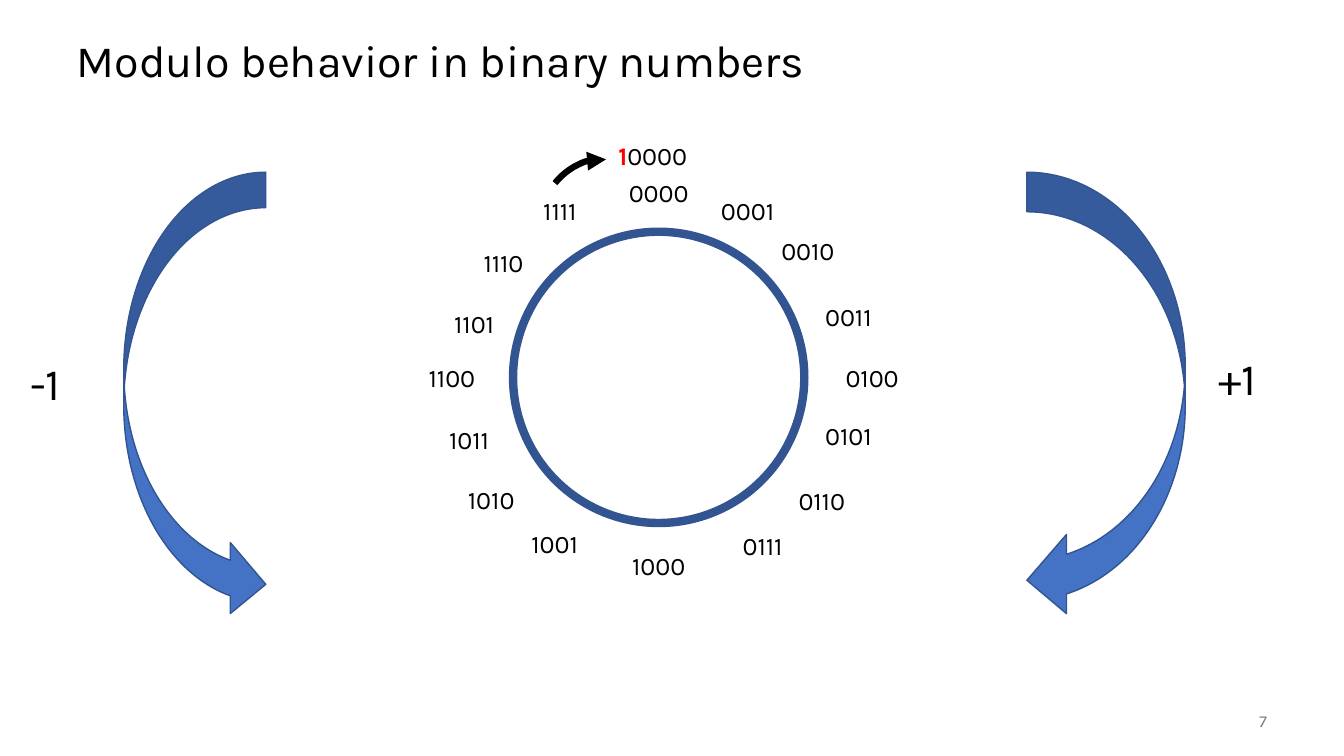
from lxml import etree
from pptx import Presentation
from pptx.dml.color import RGBColor
from pptx.enum.shapes import MSO_SHAPE
from pptx.enum.text import MSO_ANCHOR, PP_ALIGN
from pptx.oxml.ns import qn
from pptx.util import Cm, Pt

OVAL, ARC, CURVED_ARROW = MSO_SHAPE.OVAL, MSO_SHAPE.ARC, MSO_SHAPE.CURVED_LEFT_ARROW
LEFT, CENTER, RIGHT = PP_ALIGN.LEFT, PP_ALIGN.CENTER, PP_ALIGN.RIGHT
TOP, MIDDLE = MSO_ANCHOR.TOP, MSO_ANCHOR.MIDDLE
FONT = "Karla"
BLACK, RED, GRAY = "000000", "FF0000", "808080"
BLUE, DARK_BLUE = "4472C4", "325491"
LABEL_W, LABEL_H = 2.06, 1.02
LABEL_CENTERS = [
    (0, -4.66), (2.24, -4.2), (3.76, -3.19), (4.78, -1.54),
    (5.38, 0), (4.78, 1.46), (4.11, 3.11), (2.62, 4.23),
    (0, 4.74), (-2.62, 4.2), (-4.22, 3.09), (-4.78, 1.56),
    (-5.21, 0), (-4.65, -1.36), (-3.91, -2.88), (-2.49, -4.2),
]


def color(value):
    return RGBColor.from_string(value)


def add_run(p, text, size, hex_color=BLACK, bold=False):
    r = p.add_run()
    r.text = text
    r.font.name = FONT
    r.font.size = Pt(size)
    r.font.bold = bold
    r.font.color.rgb = color(hex_color)


def add_text(shapes, box, size, runs, align=CENTER, anchor=TOP):
    tf = shapes.add_textbox(*map(Cm, box)).text_frame
    tf.word_wrap = True
    tf.vertical_anchor = anchor
    p = tf.paragraphs[0]
    p.alignment = align
    for text, hex_color, bold in runs:
        add_run(p, text, size, hex_color, bold)


def add_outline(shapes, kind, box, line, width, fill=None):
    sp = shapes.add_shape(kind, *map(Cm, box))
    sp.shadow.inherit = False
    if fill:
        sp.fill.solid()
        sp.fill.fore_color.rgb = color(fill)
    else:
        sp.fill.background()
    sp.line.color.rgb = color(line)
    sp.line.width = Pt(width)
    return sp


def add_title(s, x, y, w, h):
    title = s.shapes.title
    title.left, title.top, title.width, title.height = map(Cm, (x, y, w, h))
    tf = title.text_frame
    tf.word_wrap = True
    tf.vertical_anchor = MIDDLE
    p = tf.paragraphs[0]
    p.alignment = LEFT
    p.line_spacing = 0.9
    add_run(p, "Modulo behavior in binary numbers", 32)


def add_number_ring(s, x, y, size):
    group = s.shapes.add_group_shape()
    add_outline(group.shapes, OVAL, (x, y, size, size), DARK_BLUE, 6)
    cx, cy = x + size / 2, y + size / 2
    for number, (dx, dy) in enumerate(LABEL_CENTERS):
        box = (cx + dx - LABEL_W / 2, cy + dy - LABEL_H / 2, LABEL_W, LABEL_H)
        add_text(group.shapes, box, 18, [(format(number, "04b"), BLACK, False)])


def add_step_arrow(s, x, y, w, h, label, label_dx, label_dy, flip=False):
    sp = add_outline(s.shapes, CURVED_ARROW, (x, y, w, h), DARK_BLUE, 1, BLUE)
    if flip:
        sp._element.spPr.xfrm.set("flipH", "1")
    add_text(s.shapes, (x + label_dx, y + label_dy, w + 0.02, 1.62), 32,
             [(label, BLACK, False)], LEFT)


def add_overflow(s, x, y, w, h):
    arc = add_outline(s.shapes, ARC, (x, y + 0.79, 2.87, 2.29), BLACK, 4.5)
    arc.rotation = 309.1
    arc.adjustments[0] = 162
    arc.adjustments[1] = 202.61
    etree.SubElement(arc.line._get_or_add_ln(), qn("a:tailEnd"), type="triangle")
    add_text(s.shapes, (x + w - 3.84, y, 3.84, h), 18,
             [("1", RED, True), ("0000", BLACK, False)])


def main():
    prs = Presentation()
    prs.slide_width, prs.slide_height = Cm(33.87), Cm(19.05)
    s = prs.slides.add_slide(prs.slide_layouts[5])
    add_title(s, 1.68, 0.64, 30.48, 1.9)
    add_text(s.shapes, (29.64, 17.65, 2.54, 1.02), 12, [("7", GRAY, False)], RIGHT, MIDDLE)
    add_number_ring(s, 12.93, 5.84, 7.34)
    add_step_arrow(s, 25.88, 4.34, 3.99, 11.28, "+1", 4.57, 4.37)
    add_step_arrow(s, 3.12, 4.34, 3.58, 11.28, "-1", -2.61, 4.5, flip=True)
    add_overflow(s, 13.44, 3.4, 4.93, 1.02)
    prs.save("out.pptx")


if __name__ == "__main__":
    main()
